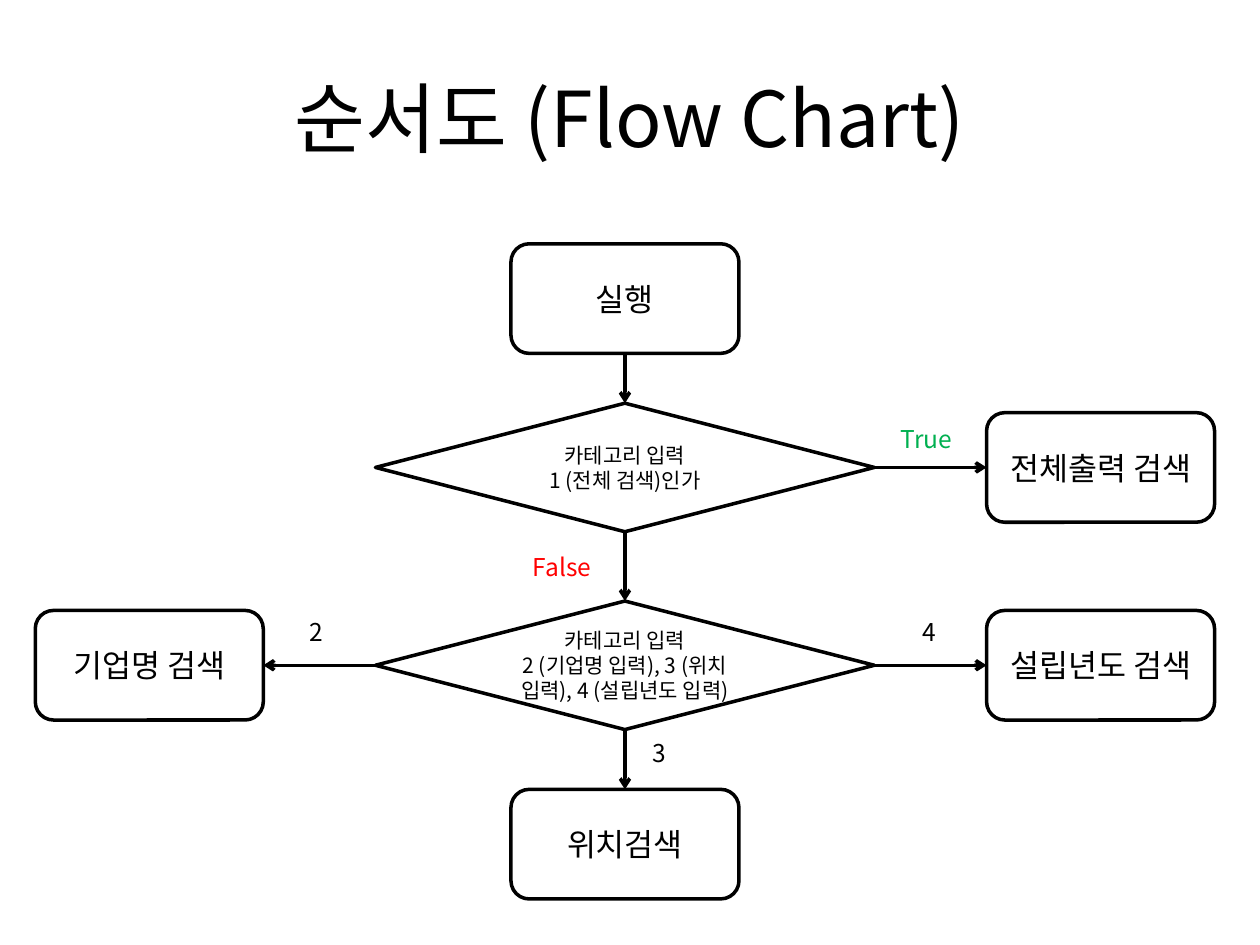
from lxml.etree import SubElement
from pptx import Presentation
from pptx.dml.color import RGBColor
from pptx.enum.shapes import MSO_CONNECTOR as Connector, MSO_SHAPE as Shape
from pptx.enum.text import MSO_ANCHOR as Anchor, PP_ALIGN as Align
from pptx.oxml.ns import qn
from pptx.util import Inches, Pt

BLACK = RGBColor(0x00, 0x00, 0x00)
WHITE = RGBColor(0xFF, 0xFF, 0xFF)
GREEN = RGBColor(0x00, 0xB0, 0x50)
RED = RGBColor(0xFF, 0x00, 0x00)
FONT = "Noto Sans CJK KR"

BOX_SIZE = (1.81, 0.87)
DECISION_SIZE = (3.96, 1.02)
TOP, LEFT, BOTTOM, RIGHT = range(4)  # connection sites


def write(frame, text, size=18, color=BLACK, align=Align.CENTER,
          anchor=Anchor.MIDDLE, wrap=True):
    frame.word_wrap = wrap
    frame.vertical_anchor = anchor
    for index, line in enumerate(text.split("\n")):
        paragraph = frame.add_paragraph() if index else frame.paragraphs[0]
        paragraph.alignment = align
        run = paragraph.add_run()
        run.text = line
        run.font.size = Pt(size)
        run.font.name = FONT
        run.font.color.rgb = color
        SubElement(run.font._element, qn("a:ea"), typeface=FONT)


def add_title(slide, left, top, width, height):
    title = slide.shapes.add_textbox(
        Inches(left), Inches(top), Inches(width), Inches(height))
    write(title.text_frame, "순서도 (Flow Chart)", size=44)


def add_step(slide, kind, center, middle, size, text, font_size):
    width, height = size
    step = slide.shapes.add_shape(
        kind, Inches(center - width / 2), Inches(middle - height / 2),
        Inches(width), Inches(height))
    step.shadow.inherit = False
    step.fill.solid()
    step.fill.fore_color.rgb = WHITE
    step.line.color.rgb = BLACK
    step.line.width = Pt(2)
    write(step.text_frame, text, size=font_size)
    return step


def add_arrow(slide, start, start_site, end, end_site):
    arrow = slide.shapes.add_connector(Connector.STRAIGHT, 0, 0, 0, 0)
    arrow.begin_connect(start, start_site)
    arrow.end_connect(end, end_site)
    arrow.line.color.rgb = BLACK
    arrow.line.width = Pt(2)
    SubElement(arrow.line._get_or_add_ln(), qn("a:tailEnd"), type="arrow")
    SubElement(arrow._element.spPr, qn("a:effectLst"))


def add_flow_chart(slide, left, top, width):
    # Three columns and four rows, given by their centres
    center = left + width / 2
    west = left + BOX_SIZE[0] / 2
    east = left + width - BOX_SIZE[0] / 2
    start_row, all_row, field_row, last_row = (
        top + offset for offset in (0.43, 1.77, 3.34, 4.76))

    def box(x, y, text):
        return add_step(slide, Shape.ROUNDED_RECTANGLE, x, y, BOX_SIZE, text, 18)

    def decision(y, text):
        return add_step(slide, Shape.FLOWCHART_DECISION, center, y,
                        DECISION_SIZE, text, 12)

    # Steps
    run_step = box(center, start_row, "실행")
    is_all = decision(all_row, "카테고리 입력\n1 (전체 검색)인가")
    which_field = decision(
        field_row,
        "카테고리 입력\n2 (기업명 입력), 3 (위치 입력), 4 (설립년도 입력)")
    by_company = box(west, field_row, "기업명 검색")
    by_location = box(center, last_row, "위치검색")
    by_year = box(east, field_row, "설립년도 검색")
    show_all = box(east, all_row, "전체출력 검색")

    # Arrows
    for link in (
        (run_step, BOTTOM, is_all, TOP),
        (is_all, BOTTOM, which_field, TOP),
        (which_field, RIGHT, by_year, LEFT),
        (which_field, LEFT, by_company, RIGHT),
        (which_field, BOTTOM, by_location, TOP),
        (is_all, RIGHT, show_all, LEFT),
    ):
        add_arrow(slide, *link)

    # Branch labels
    for text, x, y, label_width, color in (
        ("True", 6.77, 1.38, 0.68, GREEN),
        ("False", 3.85, 2.39, 0.75, RED),
        ("4", 6.94, 2.91, 0.32, BLACK),
        ("3", 4.8, 3.87, 0.32, BLACK),
        ("2", 2.08, 2.91, 0.32, BLACK),
    ):
        label = slide.shapes.add_textbox(
            Inches(left + x), Inches(top + y), Inches(label_width), Inches(0.34))
        write(label.text_frame, text, size=14, color=color, align=Align.LEFT,
              anchor=Anchor.TOP, wrap=False)


deck = Presentation()
deck.slide_width, deck.slide_height = Inches(10), Inches(7.5)
flow_slide = deck.slides.add_slide(deck.slide_layouts[6])
add_title(flow_slide, 0.5, 0.3, 9, 1.25)
add_flow_chart(flow_slide, 0.28, 1.94, 9.36)
deck.save("out.pptx")
